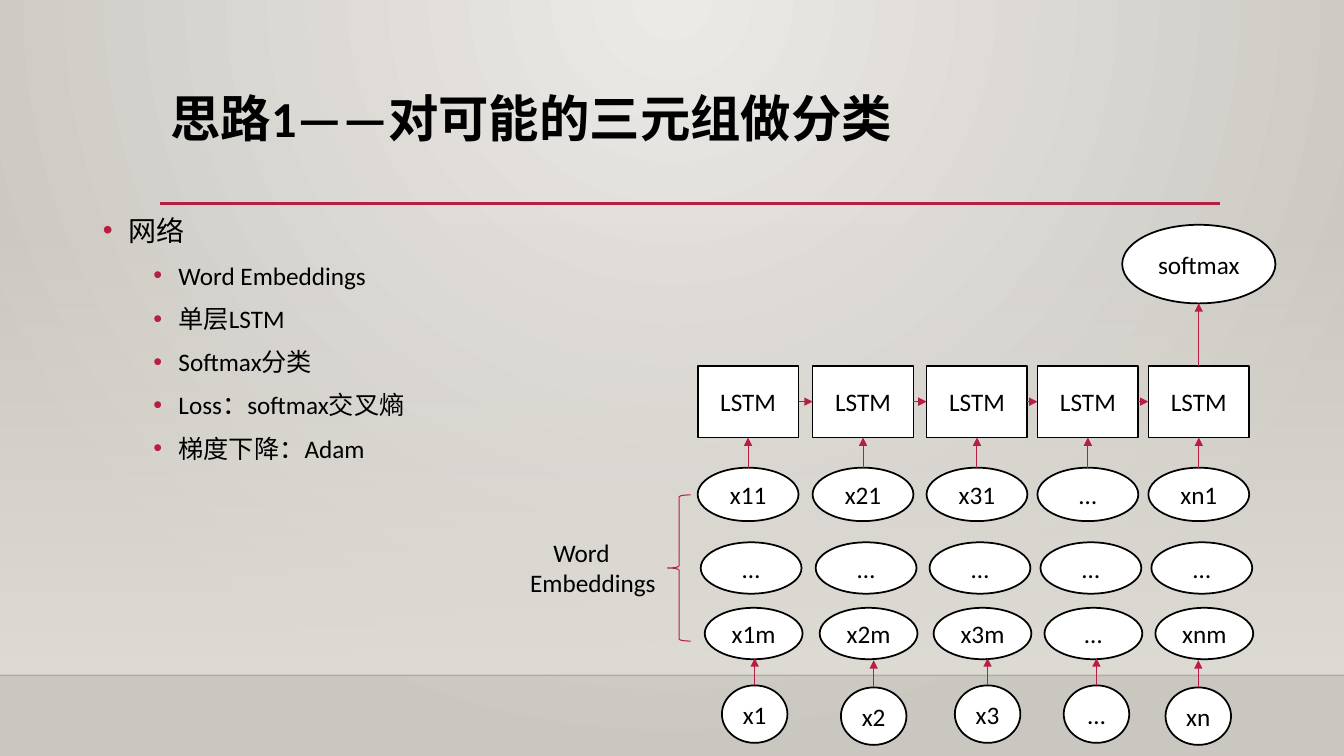
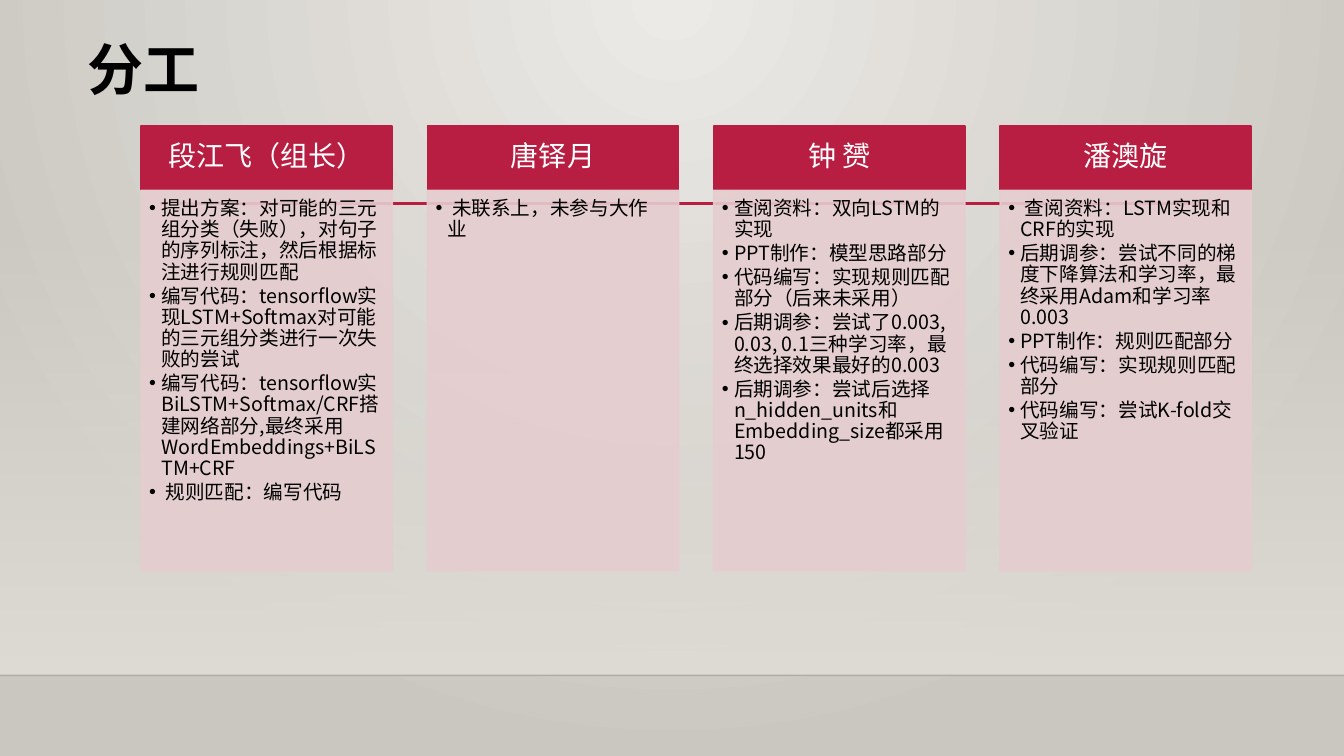
"""Builds two slides: a triple-classification network and the division of work."""
from lxml import etree
from pptx import Presentation
from pptx import util as u
from pptx.dml.color import RGBColor
from pptx.enum import shapes, text
from pptx.oxml.ns import qn

COLOURS = {
    "accent": "B71E42",
    "card": "E6CDCF",
    "ink": "000000",
    "horizon": "000001",
    "paper": "FFFFFF",
    "glow": "ECEAE7",
    "edge": "CAC7C1",
    "band": "DFDBD5",
}
LATIN, CHINESE = "Calibri", "Noto Sans CJK SC"
WIDTH, HEIGHT, HORIZON = 13.33, 7.5, 6.7
RECTANGLE = shapes.MSO_SHAPE.RECTANGLE
OVAL = shapes.MSO_SHAPE.OVAL
BRACE = shapes.MSO_SHAPE.LEFT_BRACE
LAYOUT_CONTENT, LAYOUT_TITLE = 1, 5

NETWORK = ["Word Embeddings", "单层LSTM", "Softmax分类", "Loss：softmax交叉熵", "梯度下降：Adam"]
COLUMNS = [
    (6.92, "1", 7.16, 6.8),
    (8.06, "2", 8.34, 6.82),
    (9.19, "3", 9.47, 6.8),
    (10.29, None, 10.55, 6.8),
    (11.39, "n", 11.56, 6.82),
]
MEMBERS = [
    ("段江飞（组长）", [
        "提出方案：对可能的三元组分类（失败），对句子的序列标注，然后根据标注进行规则匹配",
        "编写代码：tensorflow实现LSTM+Softmax对可能的三元组分类进行一次失败的尝试",
        "编写代码：tensorflow实BiLSTM+Softmax/CRF搭建网络部分,最终采用WordEmbeddings+BiLSTM+CRF",
        " 规则匹配：编写代码",
    ]),
    ("唐铎月", [" 未联系上，未参与大作业"]),
    ("钟 赟", [
        "查阅资料：双向LSTM的实现",
        "PPT制作：模型思路部分",
        "代码编写：实现规则匹配部分（后来未采用）",
        "后期调参：尝试了0.003, 0.03, 0.1三种学习率，最终选择效果最好的0.003",
        "后期调参：尝试后选择n_hidden_units和Embedding_size都采用150",
    ]),
    ("潘澳旋", [
        " 查阅资料：LSTM实现和CRF的实现",
        "后期调参：尝试不同的梯度下降算法和学习率，最终采用Adam和学习率0.003",
        "PPT制作：规则匹配部分",
        "代码编写：实现规则匹配部分",
        "代码编写：尝试K-fold交叉验证",
    ]),
]


def colour(name):
    return RGBColor.from_string(COLOURS[name])


def add_node(parent, tag, **attributes):
    return etree.SubElement(parent, qn(tag), attributes)


def fade(shape, percent, count=None):
    for node in list(shape._element.spPr.iter(qn("a:srgbClr")))[:count]:
        add_node(node, "a:alpha", val=str(percent * 1000))


def blend(fill, first, last):
    fill.gradient()
    for stop, name in zip(fill.gradient_stops, (first, last)):
        stop.color.rgb = colour(name)


class Deck:
    def __init__(self):
        self.deck = Presentation()
        self.deck.slide_width = u.Inches(WIDTH)
        self.deck.slide_height = u.Inches(HEIGHT)
        self.page = None
        master = self.deck.slide_master
        blend(master.background.fill, "glow", "edge")
        gradient = next(master._element.iter(qn("a:gradFill")))
        gradient.remove(gradient.find(qn("a:lin")))
        circle = add_node(gradient, "a:path", path="circle")
        add_node(circle, "a:fillToRect", l="43000", r="43000", b="100000")

    def start_page(self, layout, title, area, size):
        self.page = self.deck.slides.add_slide(self.deck.slide_layouts[layout])
        band = self.box(RECTANGLE, (0, 2.21, WIDTH, HORIZON - 2.21))
        blend(band.fill, "band", "band")
        band.fill.gradient_angle = 270
        fade(band, 0, 1)
        horizon = self.line((0, HORIZON), (WIDTH, HORIZON), "horizon", 1)
        fade(horizon, 20)
        rule = self.line((1.59, 2.02), (12.1, 2.02), "accent", 2.5)
        for place, shape in enumerate((band, horizon, rule), 2):
            self.page.shapes._spTree.insert(place, shape._element)
        frame = self.place(self.page.shapes.title, area)
        self.fill_para(frame.paragraphs[0], title, size, bold=True, spacing=0.9)

    def place(self, holder, area):
        holder.left, holder.top, holder.width, holder.height = map(u.Inches, area)
        frame = holder.text_frame
        frame.auto_size = text.MSO_AUTO_SIZE.NONE
        frame.vertical_anchor = text.MSO_ANCHOR.TOP
        return frame

    def fill_para(self, para, words, size, ink="ink", face=LATIN, bold=False,
                  align=text.PP_ALIGN.LEFT, spacing=1.0, before=0, after=0):
        para.text = words
        para.alignment = align
        para.line_spacing = spacing
        para.space_before, para.space_after = u.Pt(before), u.Pt(after)
        font = para.font
        font.size, font.bold, font.name = u.Pt(size), bold, face
        font.color.rgb = colour(ink)
        add_node(para._p.pPr.find(qn("a:defRPr")), "a:ea", typeface=CHINESE)

    def indent(self, para, margin, hanging=0.0):
        layout = para._p.get_or_add_pPr()
        layout.set("marL", str(u.Inches(margin)))
        layout.set("indent", str(-u.Inches(hanging)))
        return layout

    def bullets(self, frame, items, size, margin, hanging, mark="ink", level=0, **style):
        for words in items:
            fresh = not frame.paragraphs[0].runs
            para = frame.paragraphs[0] if fresh else frame.add_paragraph()
            para.level = level
            layout = self.indent(para, margin, hanging)
            add_node(add_node(layout, "a:buClr"), "a:srgbClr", val=COLOURS[mark])
            add_node(layout, "a:buFont", typeface="Arial")
            add_node(layout, "a:buChar", char="•")
            self.fill_para(para, words, size, **style)

    def box(self, kind, area, fill=None, line=None, width=1.25):
        box = self.page.shapes.add_shape(kind, *map(u.Inches, area))
        box.shadow.inherit = False
        if fill:
            box.fill.solid()
            box.fill.fore_color.rgb = colour(fill)
        else:
            box.fill.background()
        if line:
            box.line.color.rgb = colour(line)
            box.line.width = u.Pt(width)
        else:
            box.line.fill.background()
        return box

    def label(self, box, words, size=18, **style):
        frame = box.text_frame
        frame.margin_left = frame.margin_right = 0
        frame.vertical_anchor = text.MSO_ANCHOR.MIDDLE
        self.fill_para(frame.paragraphs[0], words, size, align=text.PP_ALIGN.CENTER, **style)
        return box

    def node(self, kind, words, *area):
        return self.label(self.box(kind, area, "paper", "ink"), words)

    def line(self, start, end, ink, width):
        line = self.page.shapes.add_connector(
            shapes.MSO_CONNECTOR.STRAIGHT, *map(u.Inches, start + end))
        line.line.color.rgb = colour(ink)
        line.line.width = u.Pt(width)
        add_node(line._element.spPr, "a:effectLst")
        return line

    def arrow(self, source, site, target=None, target_site=2, rise=0.0):
        arrow = self.line((0, 0), (0, 0), "accent", 0.75)
        arrow.begin_connect(source, site)
        if target is not None:
            arrow.end_connect(target, target_site)
        else:
            arrow.end_x = arrow.begin_x
            arrow.end_y = arrow.begin_y - u.Inches(rise)
        add_node(arrow._element.spPr.find(qn("a:ln")), "a:tailEnd", type="triangle")

    def caption(self, area, lines):
        frame = self.page.shapes.add_textbox(*map(u.Inches, area)).text_frame
        frame.word_wrap = False
        for number, (words, margin) in enumerate(lines):
            para = frame.add_paragraph() if number else frame.paragraphs[0]
            self.indent(para, margin)
            self.fill_para(para, words, 18)

    def card(self, left, name, tasks):
        header = self.box(RECTANGLE, (left, 1.25, 2.49, 0.63), "accent", "accent")
        self.label(header, name, 20, ink="paper", spacing=0.9)
        body = self.box(RECTANGLE, (left, 1.89, 2.49, 3.77), "card", "card")
        fade(body, 90)
        frame = body.text_frame
        frame.vertical_anchor = text.MSO_ANCHOR.TOP
        frame.margin_left = frame.margin_top = u.Inches(0.08)
        frame.margin_right, frame.margin_bottom = u.Inches(0.11), u.Inches(0.12)
        self.bullets(frame, tasks, 14, 0.12, 0.12, face=CHINESE, spacing=0.9, after=2)


def build_network(deck):
    deck.start_page(LAYOUT_CONTENT, "思路1——对可能的三元组做分类", (1.59, 0.88, 10.5, 1.15), 36)
    frame = deck.place(deck.page.placeholders[1], (0.92, 2, 4.67, 4.76))
    deck.bullets(frame, ["网络"], 20, 0.25, 0.25, "accent", spacing=1.2, before=10)
    deck.bullets(frame, NETWORK, 18, 0.75, 0.25, "accent", 1, spacing=1.2, before=5)
    previous = None
    for left, index, word_left, word_top in COLUMNS:
        word, first, last = (f"x{index}{end}" if index else "…" for end in ("", "1", "m"))
        cell = deck.node(RECTANGLE, "LSTM", left, 3.63, 1, 0.71)
        top = deck.node(OVAL, first, left, 4.64, 1, 0.53)
        deck.node(OVAL, "…", left + 0.03, 5.38, 1, 0.51)
        deck.node(OVAL, last, left + 0.07, 6.03, 0.97, 0.51)
        source = deck.node(OVAL, word, word_left, word_top, 0.65, 0.57)
        deck.arrow(source, 0, rise=0.27)
        deck.arrow(top, 0, cell)
        if previous is not None:
            deck.arrow(previous, 3, cell, 1)
        previous = cell
    deck.node(OVAL, "softmax", 11.13, 2.23, 1.52, 0.78)
    deck.arrow(previous, 0, rise=0.62)
    deck.box(BRACE, (6.62, 4.91, 0.23, 1.45), line="accent", width=0.75)
    deck.caption((5.16, 5.28, 1.55, 0.71), [("Word", 0.23), ("Embeddings", 0)])


def build_team(deck):
    deck.start_page(LAYOUT_TITLE, "分工", (0.77, 0.37, 10.5, 1.15), 40)
    for number, (name, tasks) in enumerate(MEMBERS):
        deck.card(1.4 + 2.84 * number, name, tasks)


def main():
    deck = Deck()
    build_network(deck)
    build_team(deck)
    deck.deck.save("out.pptx")


if __name__ == "__main__":
    main()
